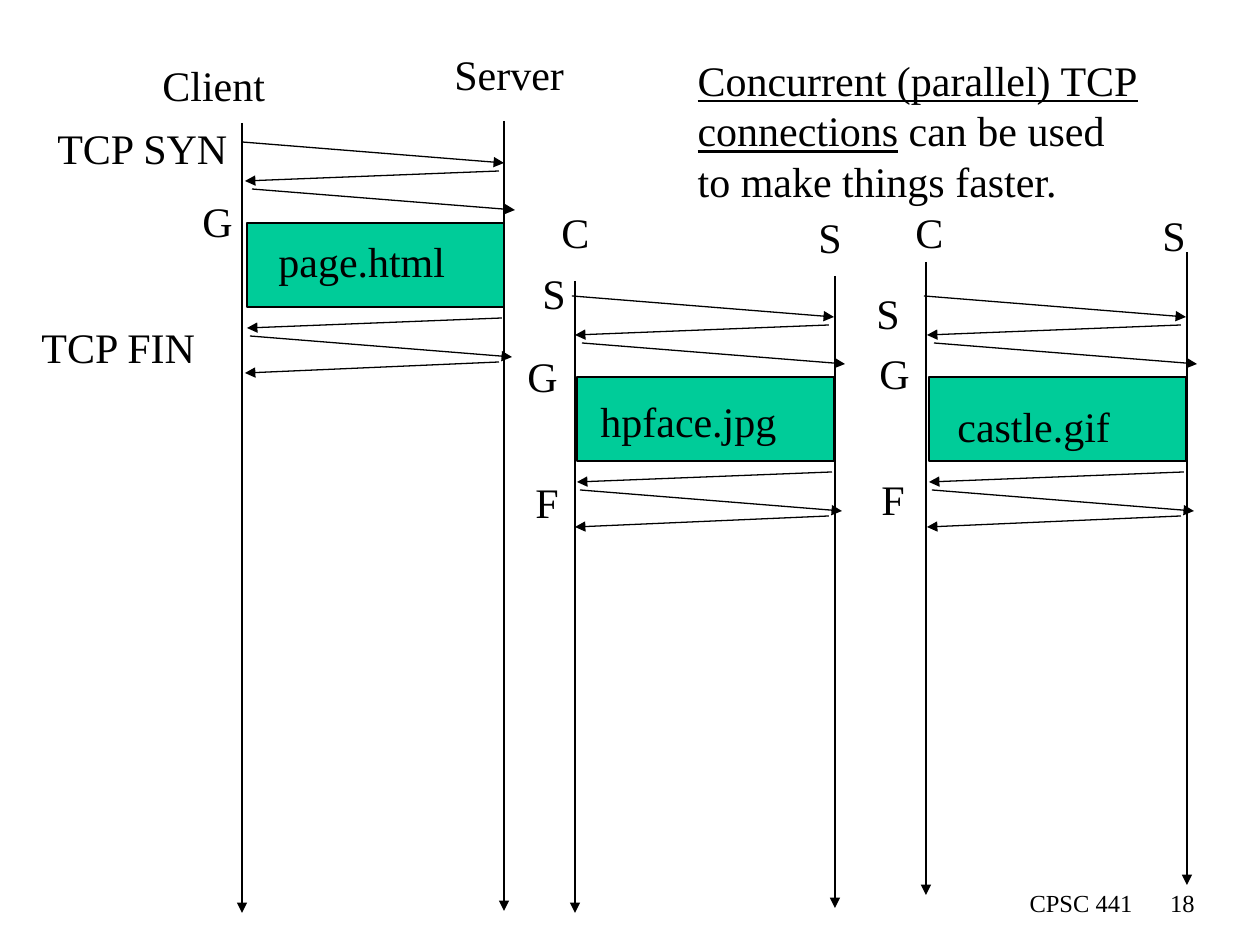
from lxml.etree import SubElement
from pptx import Presentation
from pptx.dml.color import RGBColor as Rgb
from pptx.enum.shapes import MSO_CONNECTOR as Link, MSO_SHAPE as Shape
from pptx.enum.text import MSO_ANCHOR as Anchor, PP_ALIGN as Align
from pptx.oxml.ns import qn
from pptx.util import Pt

SCALE = 914400 / 126
FONT, BLACK, GREEN = "Times New Roman", "000000", "00CC99"

TITLE = [
    [("Concurrent (parallel) TCP", True)],
    [("connections", True), (" can be used", False)],
    [("to make things faster.", False)],
]
HEADS = [
    ("Client", 150, 53, 132), ("Server", 442, 42, 138),
    ("C", 549, 200, 53), ("S", 806, 205, 48),
    ("C", 903, 200, 53), ("S", 1150, 203, 48),
]
TIMES = [
    (242, 123, 913), (504, 121, 911), (575, 281, 913),
    (835, 276, 908), (926, 262, 895), (1187, 252, 885),
]
FLOWS = [
    ((242, 142), [("TCP SYN", 45, 116, 200), ("TCP FIN", 29, 315, 184),
                  ("page.html", 266, 229, 196), ("G", 190, 189, 58)]),
    ((924, 296), [("castle.gif", 945, 394, 182), ("G", 867, 341, 58),
                  ("F", 869, 467, 50), ("S", 864, 281, 50)]),
    ((572, 296), [("G", 515, 344, 58), ("hpface.jpg", 588, 389, 206),
                  ("S", 530, 261, 50), ("F", 523, 470, 50)]),
]
STEPS = [
    (0, 0, 262, 21), (257, 29, 3, 39), (10, 47, 273, 68),
    (260, 176, 5, 186), (8, 194, 270, 215), (257, 220, 3, 231),
]
BLOCK = (5, 81, 257, 84)
FOOT = [("CPSC 441", 746, 882, 399), ("18", 1144, 882, 63)]


def px(*vals):
    """Turn px lengths into EMU."""
    return [round(v * SCALE) for v in vals]


def tint(code):
    """Turn a hex string into a colour."""
    return Rgb.from_string(code)


def write(box, paras, size=24, align=Align.LEFT, wrap=False):
    """Fill a box with paragraphs of (text, underline) runs."""
    frame = box.text_frame
    frame.word_wrap, frame.vertical_anchor = wrap, Anchor.TOP
    for i, runs in enumerate(paras):
        para = frame.add_paragraph() if i else frame.paragraphs[0]
        para.alignment = align
        for text, under in runs:
            run = para.add_run()
            run.text = text
            font = run.font
            font.name, font.size, font.underline = FONT, Pt(size), under
            font.color.rgb = tint(BLACK)


def label(shapes, item, **form):
    """Add a one-line text box."""
    text, x, y, w = item
    write(shapes.add_textbox(*px(x, y, w, 63)), [[(text, False)]], **form)


def arrow(shapes, *ends):
    """Add a line with an arrowhead at its end."""
    link = shapes.add_connector(Link.STRAIGHT, *px(*ends))
    link.line.width = Pt(0.75)
    link.line.color.rgb = tint(BLACK)
    SubElement(link.get_or_add_ln(), qn("a:tailEnd"), type="triangle")
    SubElement(link._element.spPr, qn("a:effectLst"))


def flow(shapes, start, names):
    """Add one connection: its arrows, data block and labels."""
    x, y = start
    for a, b, c, d in STEPS:
        arrow(shapes, x + a, y + b, x + c, y + d)
    left, top, w, h = BLOCK
    rect = shapes.add_shape(Shape.RECTANGLE, *px(x + left, y + top, w, h))
    rect.shadow.inherit = False
    rect.fill.solid()
    rect.fill.fore_color.rgb = tint(GREEN)
    rect.line.color.rgb = tint(BLACK)
    rect.line.width = Pt(0.75)
    for name in names:
        label(shapes, name)


def main():
    """Build the slide and save it."""
    deck = Presentation()
    deck.slide_width, deck.slide_height = px(1260, 945)
    shapes = deck.slides.add_slide(deck.slide_layouts[5]).shapes
    title = shapes.title
    title.left, title.top, title.width, title.height = px(685, 48, 470, 164)
    write(title, TITLE)
    for x, top, end in TIMES:
        arrow(shapes, x, top, x, end)
    for head in HEADS:
        label(shapes, head)
    for start, names in FLOWS:
        flow(shapes.add_group_shape().shapes, start, names)
    for note in FOOT:
        label(shapes, note, size=14, align=Align.RIGHT, wrap=True)
    deck.save("out.pptx")


if __name__ == "__main__":
    main()
